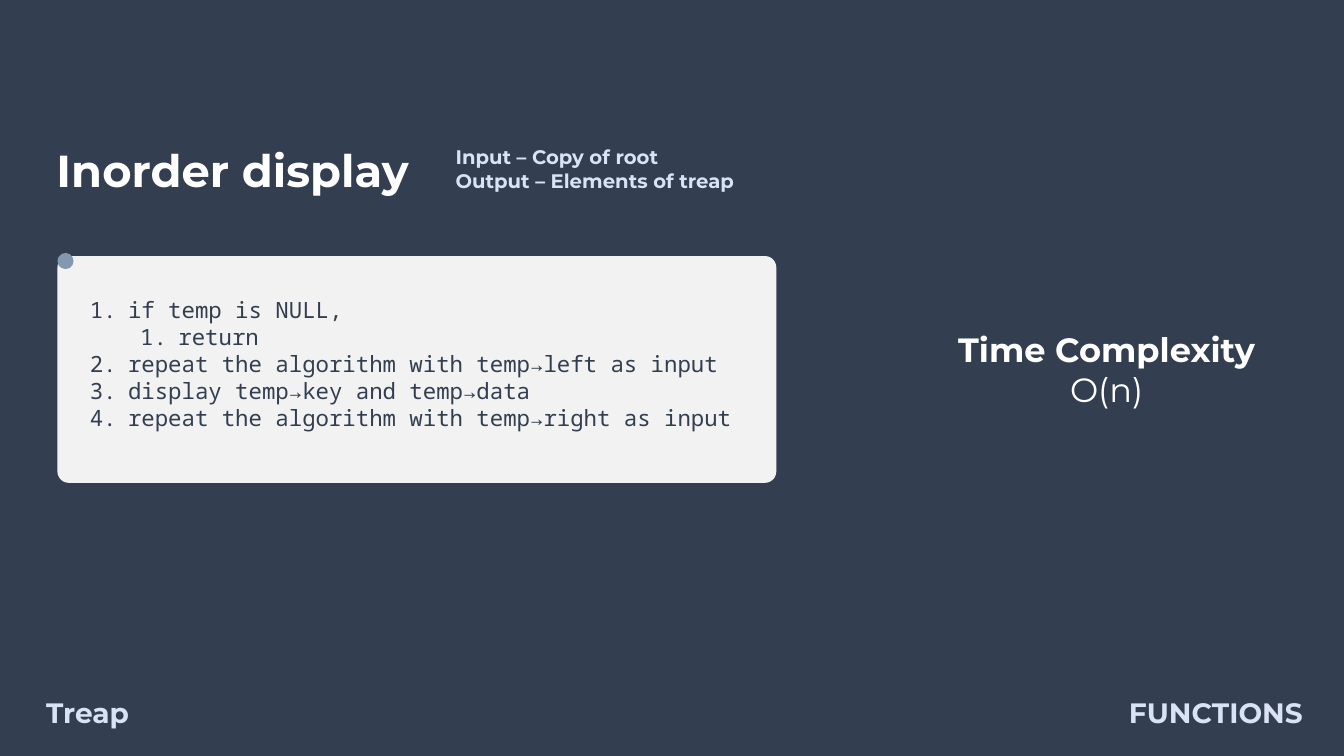
"""Build the treap slide on inorder display."""
from dataclasses import dataclass

from lxml.etree import SubElement
from pptx import Presentation
from pptx.dml.color import RGBColor
from pptx.enum.shapes import MSO_SHAPE as Kind
from pptx.enum.text import MSO_ANCHOR as Anchor
from pptx.enum.text import MSO_AUTO_SIZE as Fit
from pptx.enum.text import PP_ALIGN as Align
from pptx.oxml.ns import qn
from pptx.shapes.autoshape import Shape
from pptx.slide import Slide
from pptx.util import Inches, Pt

NAVY = RGBColor(0x33, 0x3F, 0x50)
WHITE = RGBColor(0xFF, 0xFF, 0xFF)
PALE = RGBColor(0xDA, 0xE3, 0xF3)
GREY = RGBColor(0xF2, 0xF2, 0xF2)
STEEL = RGBColor(0x84, 0x97, 0xB0)
SANS = "Montserrat"
MONO = "Noto Sans Mono"


@dataclass(frozen=True)
class Box:
    left: float
    top: float
    width: float
    height: float


@dataclass(frozen=True)
class Label:
    box: Box
    text: str
    size: int
    color: RGBColor = PALE
    align: Align = Align.LEFT
    font: str = SANS
    bold: bool = True


@dataclass(frozen=True)
class Form:
    box: Box
    kind: Kind
    fill: RGBColor


@dataclass(frozen=True)
class Step:
    text: str
    level: int = 0


TITLE = Label(Box(0.46, 1.37, 3.73, 0.64), "Inorder display", 32, WHITE, Align.JUSTIFY)
COST = Label(Box(8.93, 3.21, 4.09, 0.91), "Time Complexity\nO(n)", 24, WHITE, Align.CENTER)
LABELS = [
    Label(Box(0.36, 6.85, 1.49, 0.44), "Treap", 20),
    Label(Box(11, 6.85, 2.02, 0.44), "FUNCTIONS", 20, align=Align.RIGHT),
    Label(Box(4.42, 1.39, 3.11, 0.57), "Input – Copy of root\nOutput – Elements of treap", 14),
]
CARD = Form(Box(0.57, 2.54, 7.13, 2.25), Kind.ROUNDED_RECTANGLE, GREY)
DOT = Form(Box(0.57, 2.51, 0.16, 0.16), Kind.OVAL, STEEL)
STEPS = [
    Step("if temp is NULL,"),
    Step("return", 1),
    Step("repeat the algorithm with temp→left as input"),
    Step("display temp→key and temp→data"),
    Step("repeat the algorithm with temp→right as input"),
]
CODE = Label(Box(0.79, 2.89, 6.91, 1.72), "\n".join(step.text for step in STEPS),
             16, NAVY, font=MONO, bold=False)


def place(shape: Shape, box: Box) -> None:
    shape.left, shape.top = Inches(box.left), Inches(box.top)
    shape.width, shape.height = Inches(box.width), Inches(box.height)


def write(shape: Shape, label: Label) -> None:
    place(shape, label.box)
    frame = shape.text_frame
    frame.text = label.text
    frame.word_wrap = True
    frame.auto_size = Fit.NONE
    frame.vertical_anchor = Anchor.TOP
    for para in frame.paragraphs:
        para.alignment = label.align
        para.space_before = Pt(0)
        for run in para.runs:
            font = run.font
            font.name, font.size, font.bold = label.font, Pt(label.size), label.bold
            font.color.rgb = label.color


def add_label(slide: Slide, label: Label) -> Shape:
    shape = slide.shapes.add_textbox(0, 0, 0, 0)
    write(shape, label)
    return shape


def add_form(slide: Slide, form: Form) -> Shape:
    shape = slide.shapes.add_shape(form.kind, 0, 0, 0, 0)
    place(shape, form.box)
    shape.shadow.inherit = False
    shape.fill.solid()
    shape.fill.fore_color.rgb = form.fill
    shape.line.fill.background()
    return shape


def number(shape: Shape, steps: list[Step]) -> None:
    for para, step in zip(shape.text_frame.paragraphs, steps):
        para.level = step.level
        props = para._p.get_or_add_pPr()
        props.set("marL", str(Inches(0.38 + 0.5 * step.level)))
        props.set("indent", str(Inches(-0.38)))
        SubElement(props, qn("a:buFont"), typeface=MONO)
        SubElement(props, qn("a:buAutoNum"), type="arabicPeriod")


def main() -> None:
    deck = Presentation()
    deck.slide_width, deck.slide_height = Inches(13.33), Inches(7.5)
    slide = deck.slides.add_slide(deck.slide_layouts[1])
    slide.background.fill.solid()
    slide.background.fill.fore_color.rgb = NAVY

    write(slide.shapes.title, TITLE)
    for label in LABELS:
        add_label(slide, label)
    cost = add_label(slide, COST)
    cost.text_frame.paragraphs[1].runs[0].font.bold = False

    card = add_form(slide, CARD)
    card.adjustments[0] = 0.05
    add_form(slide, DOT)

    body = slide.placeholders[1]
    write(body, CODE)
    number(body, STEPS)
    body.element.getparent().append(body.element)
    deck.save("out.pptx")


if __name__ == "__main__":
    main()
